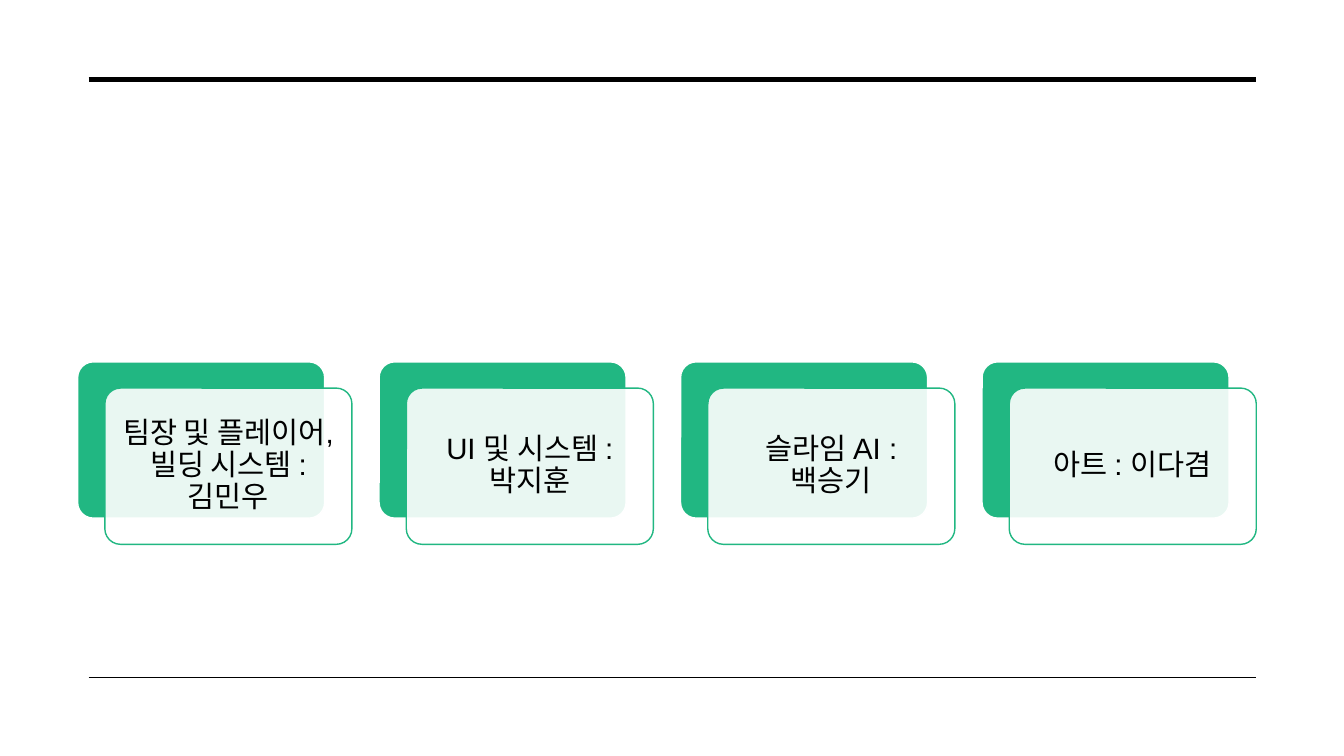
from pptx import Presentation
from pptx.dml.color import RGBColor
from pptx.enum.shapes import MSO_CONNECTOR, MSO_SHAPE
from pptx.enum.text import MSO_ANCHOR, PP_ALIGN
from pptx.oxml.ns import qn
from pptx.util import Pt
from lxml.etree import SubElement

PX = 9144  # 100 px to the inch
COLORS = {"green": "21B782", "white": "FFFFFF", "black": "000000"}
ROLES = [
    "팀장 및 플레이어, 빌딩 시스템 : 김민우",
    "UI 및 시스템 : 박지훈",
    "슬라임 AI : 백승기",
    "아트 : 이다겸",
]
LEFT, TOP, WIDTH, HEIGHT = 77, 359, 245, 155
STEP, SHIFT, INSET = 299, (27, 26), 9


def color(name):
    return RGBColor.from_string(COLORS[name])


def add_card(x, y, fill, line):
    card = slide.shapes.add_shape(
        MSO_SHAPE.ROUNDED_RECTANGLE, x * PX, y * PX, WIDTH * PX, HEIGHT * PX)
    card.adjustments[0] = 0.1
    card.shadow.inherit = False
    card.fill.solid()
    card.fill.fore_color.rgb = color(fill)
    card.line.color.rgb = color(line)
    card.line.width = Pt(1)
    return card


prs = Presentation()
prs.slide_width, prs.slide_height = 1333 * PX, 750 * PX
slide = prs.slides.add_slide(prs.slide_layouts[6])

for y, weight in [(79, 3.5), (672, 1)]:
    rule = slide.shapes.add_connector(
        MSO_CONNECTOR.STRAIGHT, 88 * PX, y * PX, 1246 * PX, y * PX)
    rule.line.color.rgb = color("black")
    rule.line.width = Pt(weight)
    SubElement(rule.element.spPr, qn("a:effectLst"))

for i, role in enumerate(ROLES):
    x = LEFT + i * STEP
    add_card(x, TOP, "green", "white")
    front = add_card(x + SHIFT[0], TOP + SHIFT[1], "white", "green")
    tint = front.element.spPr.find(qn("a:solidFill"))[0]
    SubElement(tint, qn("a:alpha"), val="90000")

    frame = front.text_frame
    frame.word_wrap = True
    frame.vertical_anchor = MSO_ANCHOR.MIDDLE
    frame.margin_left = frame.margin_right = INSET * PX
    frame.margin_top = frame.margin_bottom = INSET * PX
    para = frame.paragraphs[0]
    para.text = role
    para.alignment = PP_ALIGN.CENTER
    para.line_spacing = 0.9
    para.space_after = Pt(7)
    para.font.name = "Arial"
    para.font.size = Pt(21)
    para.font.color.rgb = color("black")

prs.save("out.pptx")
